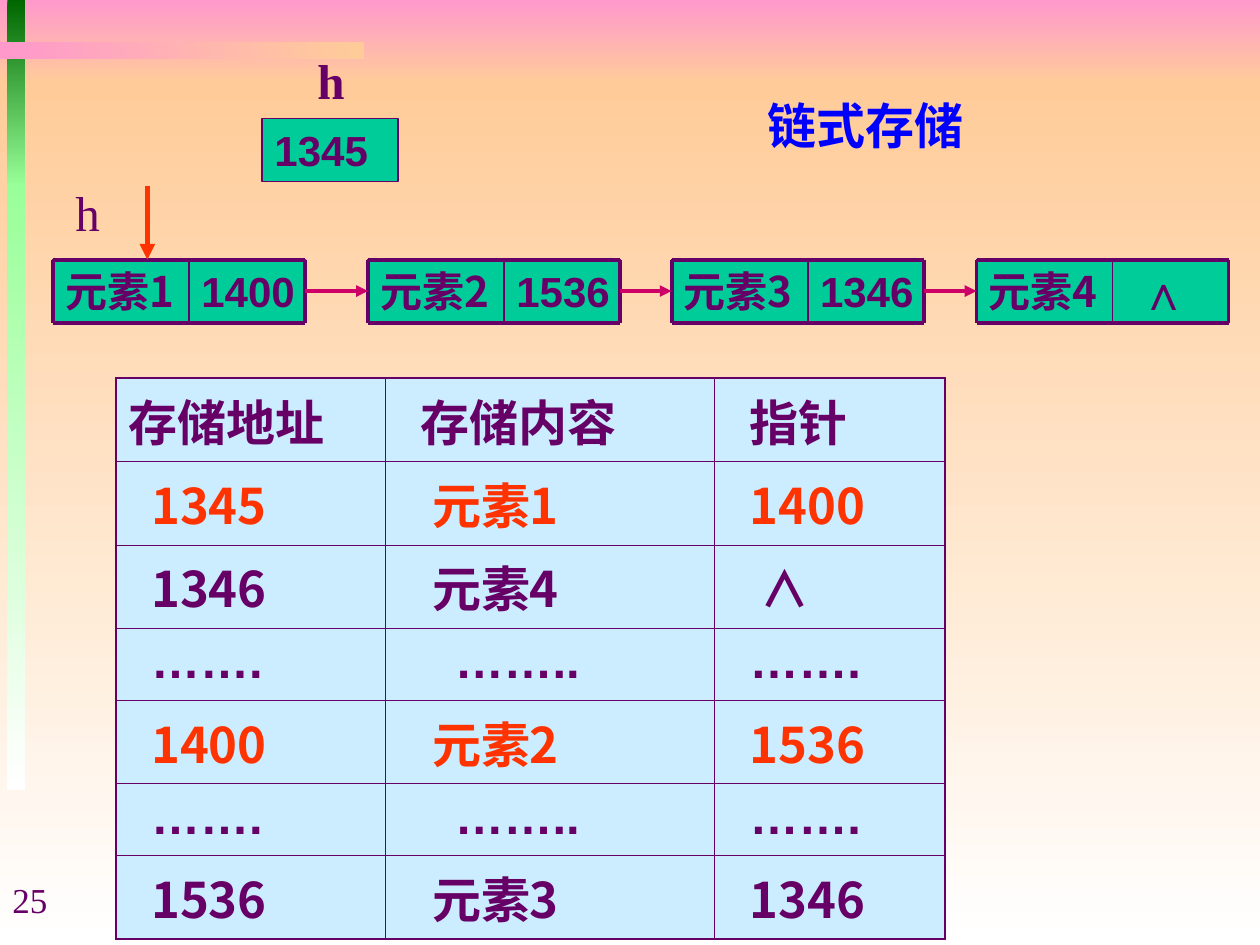
from pptx import Presentation
from pptx.dml.color import RGBColor
from pptx.enum.shapes import MSO_CONNECTOR, MSO_SHAPE
from pptx.enum.text import MSO_ANCHOR
from pptx.oxml.ns import qn
from pptx.util import Inches, Pt
from lxml import etree

COLORS = {"purple": "660066", "green": "00CC99", "red": "FF3300", "blue": "0000FF",
          "arrow": "CC0066", "cell": "CCECFF", "pink": "FF99CC", "peach": "FFCC99",
          "white": "FFFFFF", "dark": "006600", "light": "99FF99"}
RGB = {name: RGBColor.from_string(value) for name, value in COLORS.items()}
CJK, ARIAL, TIMES = "Noto Sans CJK SC", "Arial", "Times New Roman"

prs = Presentation()
prs.slide_width, prs.slide_height = Inches(10), Inches(7.5)
s = prs.slides.add_slide(prs.slide_layouts[6])


def write(tf, text, size, font, color="purple", bold=True, left=0.1):
    """Put one styled line in a text frame, with its left inset in inches."""
    tf.word_wrap = True
    tf.margin_left, tf.margin_right = Inches(left), 0
    p = tf.paragraphs[0]
    p.text = text
    p.font.size, p.font.bold, p.font.name = Pt(size), bold, font
    p.font.color.rgb = RGB[color]
    p.alignment = 1
    latin = p.font._element.find(qn("a:latin"))
    ea = etree.Element(qn("a:ea"), typeface=ARIAL if font == ARIAL else CJK)
    latin.addnext(ea)


def add_line(x1, y1, x2, y2, color, width, arrow=False):
    line = s.shapes.add_connector(MSO_CONNECTOR.STRAIGHT, Inches(x1), Inches(y1),
                                  Inches(x2), Inches(y2))
    line.line.color.rgb, line.line.width = RGB[color], Pt(width)
    if arrow:
        etree.SubElement(line.line._get_or_add_ln(), qn("a:tailEnd"), type="triangle")
    etree.SubElement(line._element.spPr, qn("a:effectLst"))
    return line


# Background and decoration bands
for x, y, w, h, start, end, angle in [
        (0, 0, 10, 0.67, "pink", "peach", 270),
        (0, 0.67, 10, 6.83, "peach", "white", 270),
        (0.06, 0, 0.14, 1.48, "dark", "light", 270),
        (0.06, 1.46, 0.14, 4.81, "light", "white", 270),
        (0, 0.33, 2.89, 0.14, "pink", "peach", 0)]:
    band = s.shapes.add_shape(MSO_SHAPE.RECTANGLE, Inches(x), Inches(y), Inches(w), Inches(h))
    band.shadow.inherit = False
    band.line.fill.background()
    band.fill.gradient()
    band.fill.gradient_angle = angle
    for stop, color, position in zip(band.fill.gradient_stops, (start, end), (0, 1)):
        stop.color.rgb, stop.position = RGB[color], position

# Head pointer box and linked nodes
TOP, HEIGHT, DATA_W, LINK_W = 2.06, 0.5, 1.08, 0.92
nodes = [(0.42, "元素1", "1400"), (2.92, "元素2", "1536"),
         (5.33, "元素3", "1346"), (7.75, "元素4", "∧")]
boxes = [(2.08, 0.94, DATA_W, "1345")]
for x, data, link in nodes:
    boxes += [(x + DATA_W, TOP, LINK_W, link), (x, TOP, DATA_W, data)]
rects = []
for x, y, w, text in boxes:
    sp = s.shapes.add_shape(MSO_SHAPE.RECTANGLE, Inches(x), Inches(y), Inches(w), Inches(HEIGHT))
    sp.shadow.inherit = False
    sp.fill.solid()
    sp.fill.fore_color.rgb = RGB["green"]
    sp.line.color.rgb, sp.line.width = RGB["purple"], Pt(0.75)
    null = text == "∧"
    write(sp.text_frame, text, 28 if null else 24, CJK if "元素" in text else ARIAL,
          left=0.21 if null else 0.1)
    sp.text_frame.vertical_anchor = MSO_ANCHOR.MIDDLE
    rects.append(sp)

for x, _, _ in nodes:
    right, bottom = x + DATA_W + LINK_W, TOP + HEIGHT
    for y in (TOP, bottom):
        add_line(x, y, right, y, "purple", 2.25)
    for edge, width in ((x, 2.25), (x + DATA_W, 1), (right, 2.25)):
        add_line(edge, TOP, edge, bottom, "purple", width)

links, datas = rects[1::2], rects[2::2]
for link, data in zip(links, datas[1:]):
    line = add_line(0, 0, 1, 1, "arrow", 2.25, arrow=True)
    line.begin_connect(link, 3)
    line.end_connect(data, 1)
add_line(1.17, 1.48, 1.17, TOP, "red", 3, arrow=True)

# Storage table: each cell is text, indent in spaces, colour
SPACE = 0.09
dots = [("…….", 2, "purple"), ("……..", 5, "purple"), ("…….", 2, "purple")]
rows = [
    [("存储地址", 0, "purple"), ("存储内容", 2, "purple"), ("指针", 2, "purple")],
    [("1345", 2, "red"), ("元素1", 3, "red"), ("1400", 2, "red")],
    [("1346", 2, "purple"), ("元素4", 3, "purple"), ("∧", 3, "purple")],
    dots,
    [("1400", 2, "red"), ("元素2", 3, "red"), ("1536", 2, "red")],
    dots,
    [("1536", 2, "purple"), ("元素3", 3, "purple"), ("1346", 2, "purple")]]
col_widths = [2.14, 2.61, 1.83]
table = s.shapes.add_table(len(rows), len(col_widths), Inches(0.92), Inches(3),
                           Inches(6.58), Inches(3.97)).table
table.first_row = table.horz_banding = False
for column, width in zip(table.columns, col_widths):
    column.width = Inches(width)
for i, row in enumerate(rows):
    table.rows[i].height = Inches(0.57)
    for j, (text, indent, color) in enumerate(row):
        cell = table.cell(i, j)
        write(cell.text_frame, text, 28, ARIAL if "…" in text else CJK, color)
        cell.margin_left, cell.margin_right = Inches(0.1 + indent * SPACE), Inches(0.1)
        outer = {"lnL": j == 0, "lnR": j == 2, "lnT": i == 0, "lnB": i == len(rows) - 1}
        tc_pr = cell._tc.get_or_add_tcPr()
        for side, thick in outer.items():
            ln = etree.SubElement(tc_pr, qn("a:" + side), w=str(Pt(1.08 if thick else 0.45)))
            fill = etree.SubElement(ln, qn("a:solidFill"))
            etree.SubElement(fill, qn("a:srgbClr"), val=COLORS["purple"])
        cell.fill.solid()
        cell.fill.fore_color.rgb = RGB["cell"]

# Labels
for x, y, w, h, text, size, font, color, bold, left in [
        (0, 6.92, 0.7, 0.44, "25", 20, TIMES, "purple", False, 0.1),
        (0.5, 1.4, 0.39, 0.57, "h", 28, TIMES, "purple", False, 0.1),
        (5.92, 0.71, 1.89, 0.57, "链式存储", 28, TIMES, "blue", True, 0.17),
        (2.42, 0.35, 0.42, 0.57, "h", 28, TIMES, "purple", True, 0.1)]:
    label = s.shapes.add_textbox(Inches(x), Inches(y), Inches(w), Inches(h))
    write(label.text_frame, text, size, font, color, bold, left)

prs.save("out.pptx")
